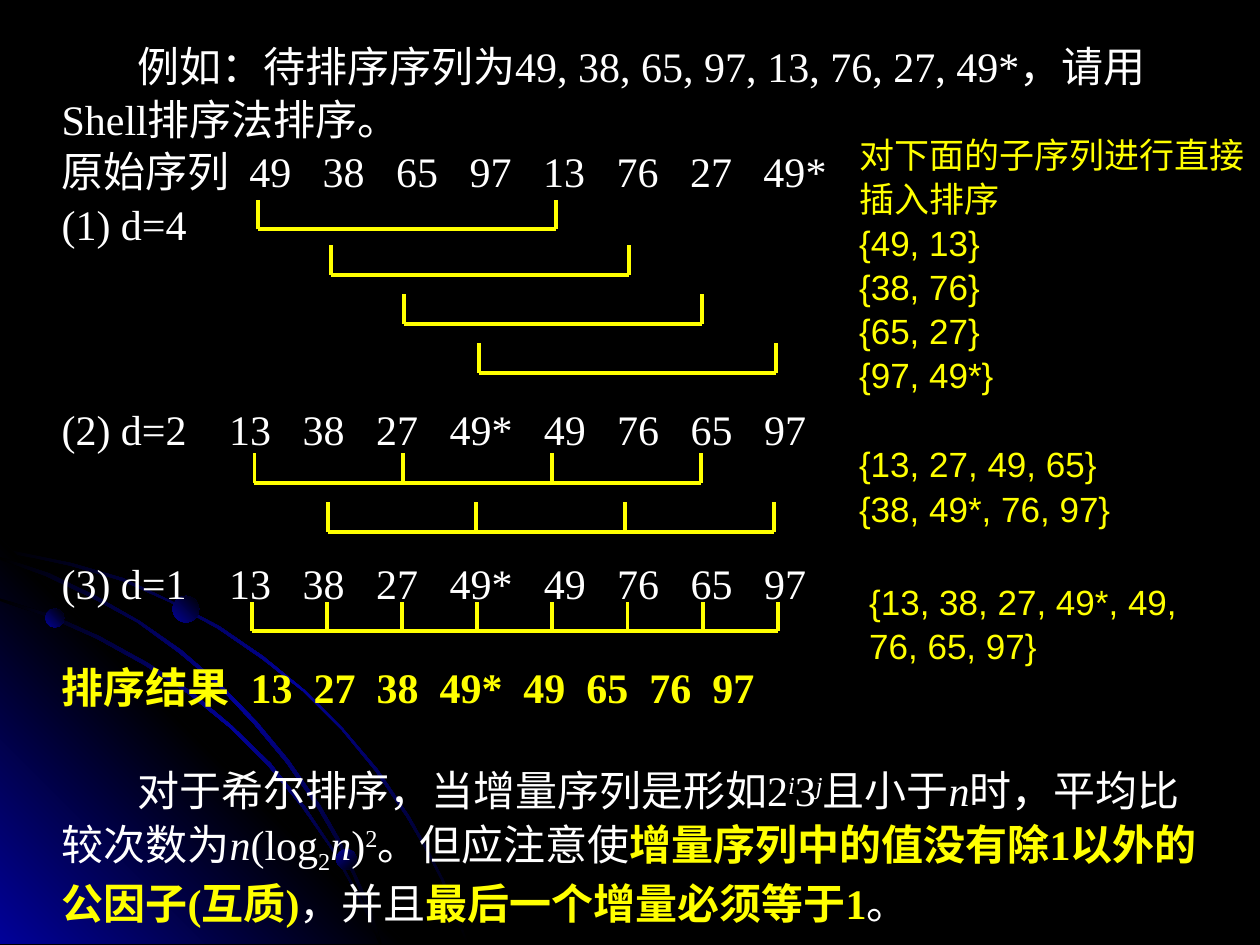
from copy import deepcopy

from lxml.etree import SubElement
from pptx import Presentation
from pptx.dml.color import RGBColor
from pptx.enum.shapes import MSO_CONNECTOR, MSO_SHAPE
from pptx.enum.text import MSO_ANCHOR
from pptx.oxml.ns import qn
from pptx.util import Inches, Pt

COLORS = {"background": "000000", "glow": "010199", "text": "FFFFFF", "accent": "FFFF00"}
LINE_SPACING = 1.05
BODY_LINE = 28.95

RIBBONS = [
    [(0.57, 4.47), (0.28, 4.41), (0, 4.35), (0, 4.38), (0.28, 4.43), (0.56, 4.49),
     (0.97, 4.61), (1.35, 4.78), (1.73, 4.99), (2.08, 5.23), (2.41, 5.49), (2.71, 5.79),
     (2.98, 6.12), (3.23, 6.49), (3.37, 6.73), (3.5, 6.98), (3.6, 7.23), (3.7, 7.49),
     (3.72, 7.49), (3.62, 7.23), (3.52, 6.98), (3.39, 6.73), (3.25, 6.48), (3, 6.11),
     (2.72, 5.78), (2.42, 5.48), (2.09, 5.21), (1.74, 4.97), (1.36, 4.77), (0.98, 4.59)],
    [(2.85, 7.14), (2.94, 7.32), (3.01, 7.49), (3.03, 7.49), (2.96, 7.3), (2.86, 7.12),
     (2.66, 6.76), (2.42, 6.4), (2.15, 6.06), (1.84, 5.76), (1.52, 5.49), (1.17, 5.26),
     (0.79, 5.05), (0.41, 4.88), (0, 4.75), (0, 4.77), (0.39, 4.9), (0.77, 5.07),
     (1.15, 5.28), (1.5, 5.51), (1.83, 5.78), (2.13, 6.08), (2.4, 6.41), (2.65, 6.77)],
    [(0, 4.42), (0, 4.44), (0.36, 4.57), (0.74, 4.75), (1.09, 4.94), (1.42, 5.18),
     (1.73, 5.44), (2.02, 5.75), (2.27, 6.05), (2.52, 6.41), (2.67, 6.67), (2.8, 6.94),
     (2.92, 7.22), (3.01, 7.49), (3.03, 7.49), (2.94, 7.2), (2.82, 6.93), (2.69, 6.65),
     (2.54, 6.39), (2.29, 6.03), (2.04, 5.73), (1.75, 5.43), (1.44, 5.16), (1.11, 4.93),
     (0.76, 4.73), (0.39, 4.55)],
]
CORNER = [(3.22, 7.49), (0, 7.49), (0, 4.27)]
DOTS = [(0.36, 4.83, 0.15, 45), (2.67, 6.74, 0.16, 315), (1.37, 4.73, 0.21, 45)]

BRACKETS = [
    (2.05, 1.82, 2.36, 1), (2.63, 2.18, 2.36, 1), (3.21, 2.57, 2.36, 1), (3.8, 2.96, 2.36, 1),
    (2.02, 3.83, 1.18, 3), (2.6, 4.22, 1.18, 3), (2, 5.01, 0.596, 7),
]

ROWS = [
    ("原始序列", "49 38 65 97 13 76 27 49*", 1.49, 0.583, 0),
    ("(1) d=4", "", 0, 0, 0),
    ("(2) d=2", "13 38 27 49* 49 76 65 97", 1.33, 0.583, 3),
    ("(3) d=1", "13 38 27 49* 49 76 65 97", 1.33, 0.583, 2),
    ("排序结果", "13 27 38 49* 49 65 76 97", 1.5, 0.5, 1),
]

INTRODUCTION = [("例如：待排序序列为49, 38, 65, 97, 13, 76, 27, 49*，请用Shell排序法排序。", "")]
CONCLUSION = [
    ("对于希尔排序，当增量序列是形如2", ""), ("i", "italic up"), ("3", ""), ("j", "italic up"),
    ("且小于", ""), ("n", "italic"), ("时，平均比较次数为", ""), ("n", "italic"), ("(log", ""),
    ("2", "down"), ("n", "italic"), (")", ""), ("2", "up"), ("。但应注意使", ""),
    ("增量序列中的值没有除1以外的公因子(互质)", "strong"), ("，并且", ""),
    ("最后一个增量必须等于1", "strong"), ("。", ""),
]

NOTES = [
    (6.72, 0.99, 3.28, 2.12,
     ["对下面的子序列进行直接插入排序", "{49, 13}", "{38, 76}", "{65, 27}", "{97, 49*}"]),
    (6.72, 3.45, 2.7, 0.77, ["{13, 27, 49, 65}", "{38, 49*, 76, 97}"]),
    (6.8, 4.54, 2.7, 0.77, ["{13, 38, 27, 49*, 49, 76, 65, 97}"]),
]


def color(name):
    """Return the named colour."""
    return RGBColor.from_string(COLORS[name])


def paint_gradient(shape, names, angle):
    """Fill a shape with evenly spaced gradient stops and no outline."""
    shape.shadow.inherit = False
    shape.line.fill.background()
    shape.fill.gradient()
    shape.fill.gradient_angle = angle
    stop_list = shape._element.spPr.find(qn("a:gradFill")).find(qn("a:gsLst"))
    while len(stop_list) < len(names):
        stop_list.append(deepcopy(stop_list[-1]))
    for index, (stop, name) in enumerate(zip(shape.fill.gradient_stops, names)):
        stop.position = index / (len(names) - 1)
        stop.color.rgb = color(name)


def add_outline(group, points, names, angle):
    """Add a closed gradient outline through points given in inches."""
    vertices = [(Inches(x), Inches(y)) for x, y in points]
    builder = group.shapes.build_freeform(*vertices[0], scale=1.0)
    builder.add_line_segments(vertices[1:], close=True)
    paint_gradient(builder.convert_to_shape(), names, angle)


def add_orbits(slide):
    """Draw the glowing corner with its orbits and dots."""
    group = slide.shapes.add_group_shape()
    band = ["background", "glow", "background"]
    add_outline(group, RIBBONS[0], band, 315)
    add_outline(group, CORNER, ["glow", "background", "glow"], 45)
    for ribbon in RIBBONS[1:]:
        add_outline(group, ribbon, band, 315)
    for left, top, size, angle in DOTS:
        dot = group.shapes.add_shape(
            MSO_SHAPE.OVAL, Inches(left), Inches(top), Inches(size), Inches(size))
        paint_gradient(dot, ["glow", "background"], angle)


def add_text_frame(slide, left, top, width, height):
    """Add a wrapping text box and return its frame."""
    box = slide.shapes.add_textbox(Inches(left), Inches(top), Inches(width), Inches(height))
    frame = box.text_frame
    frame.word_wrap = True
    frame.vertical_anchor = MSO_ANCHOR.TOP
    return frame


def add_paragraph(frame, first, lines_before=0):
    """Return the first or a further paragraph with the common spacing."""
    paragraph = frame.paragraphs[0] if first else frame.add_paragraph()
    paragraph.line_spacing = LINE_SPACING
    paragraph.space_before = Pt(lines_before * BODY_LINE)
    return paragraph


def add_run(paragraph, text, style="", size=24, font="Times New Roman"):
    """Add one run in a style made of the words strong, accent, italic, up and down."""
    run = paragraph.add_run()
    run.text = text
    run.font.name = font
    run.font.size = Pt(size)
    run.font.bold = "strong" in style
    run.font.italic = "italic" in style
    run.font.color.rgb = color("accent" if "strong" in style or "accent" in style else "text")
    baseline = 30000 if "up" in style else -25000 if "down" in style else 0
    if baseline:
        run._r.get_or_add_rPr().set("baseline", str(baseline))


def add_tab_stops(paragraph, values, start, step):
    """Set one tab stop per value, leaving more room after a starred one."""
    tab_list = SubElement(paragraph._p.get_or_add_pPr(), qn("a:tabLst"))
    position = start
    for value in values:
        SubElement(tab_list, qn("a:tab"), pos=str(Inches(position)), algn="l")
        position += step + (0.165 if "*" in value else 0)


def add_prose(frame, runs, first, lines_before=0):
    """Add a paragraph of running text with an indented first line."""
    paragraph = add_paragraph(frame, first, lines_before)
    properties = paragraph._p.get_or_add_pPr()
    properties.set("marL", "0")
    properties.set("indent", str(Inches(0.6)))
    for text, style in runs:
        add_run(paragraph, text, style)


def add_body(slide, left, top, width, height):
    """Write the example, its sorting passes and the conclusion."""
    frame = add_text_frame(slide, left, top, width, height)
    add_prose(frame, INTRODUCTION, True)
    for label, numbers, start, step, lines_before in ROWS:
        paragraph = add_paragraph(frame, False, lines_before)
        values = numbers.split()
        if values:
            add_tab_stops(paragraph, values, start, step)
        style = "strong" if label == "排序结果" else ""
        add_run(paragraph, "\t".join([label, *values]), style)
    add_prose(frame, CONCLUSION, False, 1)


def add_bracket(slide, left, bottom, step, count, height=0.235):
    """Draw a bracket with a tick at every step along its base."""
    group = slide.shapes.add_group_shape()
    right = left + step * count
    ticks = [left + step * index for index in range(count + 1)]
    lines = [(left, bottom, right, bottom)] + [(x, bottom, x, bottom - height) for x in ticks]
    for ends in lines:
        line = group.shapes.add_connector(MSO_CONNECTOR.STRAIGHT, *map(Inches, ends))
        line.line.color.rgb = color("accent")
        line.line.width = Pt(2.25)
        SubElement(line._element.spPr, qn("a:effectLst"))


def add_note(slide, left, top, width, height, lines):
    """List the subsequences sorted in one pass."""
    frame = add_text_frame(slide, left, top, width, height)
    for index, text in enumerate(lines):
        add_run(add_paragraph(frame, index == 0), text, "accent", 20, "Arial")


def main():
    """Build and save the slide."""
    presentation = Presentation()
    presentation.slide_width, presentation.slide_height = Inches(10), Inches(7.5)
    slide = presentation.slides.add_slide(presentation.slide_layouts[6])
    slide.background.fill.solid()
    slide.background.fill.fore_color.rgb = color("background")
    add_orbits(slide)
    add_body(slide, 0.39, 0.25, 9.31, 6.97)
    for bracket in BRACKETS:
        add_bracket(slide, *bracket)
    for note in NOTES:
        add_note(slide, *note)
    presentation.save("out.pptx")


if __name__ == "__main__":
    main()
